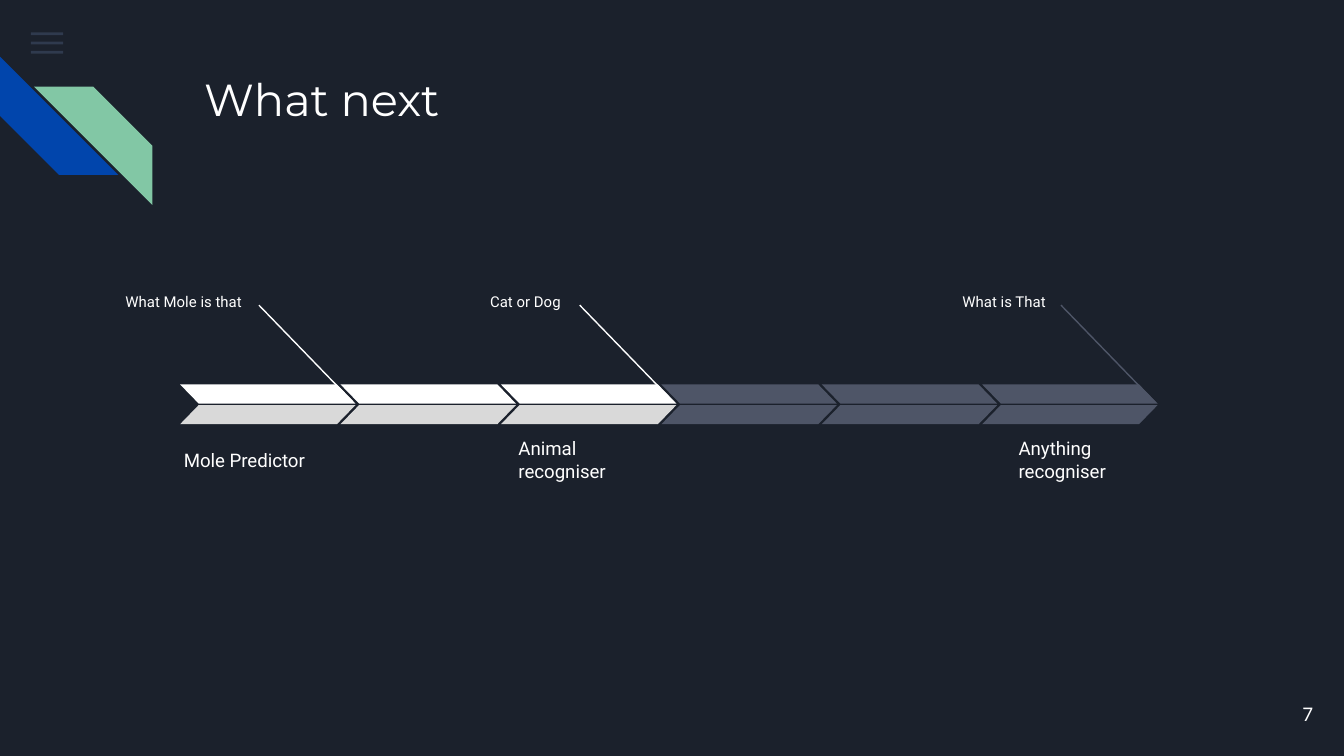
from lxml.etree import SubElement
from pptx import Presentation
from pptx.dml.color import RGBColor
from pptx.enum.shapes import MSO_CONNECTOR, MSO_SHAPE
from pptx.enum.text import MSO_ANCHOR, MSO_AUTO_SIZE, PP_ALIGN
from pptx.oxml.ns import qn
from pptx.util import Pt

NIGHT = RGBColor(0x1B, 0x21, 0x2C)
STEEL = RGBColor(0x55, 0x68, 0x8B)
BLUE = RGBColor(0x01, 0x45, 0xAC)
GREEN = RGBColor(0x82, 0xC7, 0xA5)
WHITE = RGBColor(0xFF, 0xFF, 0xFF)
SILVER = RGBColor(0xD9, 0xD9, 0xD9)
SLATE = RGBColor(0x4E, 0x55, 0x67)

STEPS = 6
DONE = 3
MARKS = {0: WHITE, 2: WHITE, 5: SLATE}
NOTES = [
    ("What Mole is that", 43.2, 93.6, PP_ALIGN.RIGHT),
    ("Cat or Dog", 252, 59, PP_ALIGN.CENTER),
    ("What is That", 503.3, 64.1, PP_ALIGN.RIGHT),
]
STAGES = [
    ("Mole Predictor", 91.4, 92.2),
    ("Animal recogniser", 270.7, 89.3),
    ("Anything recogniser", 538.6, 89.3),
]


def put_text(shape, text, font="Roboto", size=10, align=PP_ALIGN.LEFT,
             anchor=MSO_ANCHOR.TOP):
    frame = shape.text_frame
    frame.word_wrap = True
    frame.auto_size = MSO_AUTO_SIZE.NONE
    frame.vertical_anchor = anchor
    frame.margin_left = frame.margin_right = Pt(7.2)
    frame.margin_top = frame.margin_bottom = Pt(7.2)
    frame.text = text
    line = frame.paragraphs[0]
    line.alignment = align
    style = line.runs[0].font
    style.name, style.size, style.color.rgb = font, Pt(size), WHITE


def add_text(slide, box, text, **form):
    put_text(slide.shapes.add_textbox(*map(Pt, box)), text, **form)


def add_shape(slide, kind, box, color, adjust=None, flip=False, turn=0):
    shape = slide.shapes.add_shape(kind, *map(Pt, box))
    shape.shadow.inherit = False
    shape.fill.solid()
    shape.fill.fore_color.rgb = color
    shape.line.fill.background()
    shape.rotation = turn
    if adjust is not None:
        shape.adjustments[0] = adjust
    if flip:
        shape._element.spPr.find(qn("a:xfrm")).set("flipH", "1")
    return shape


def add_line(slide, start, end, color):
    line = slide.shapes.add_connector(
        MSO_CONNECTOR.STRAIGHT, *map(Pt, start + end))
    line.line.color.rgb = color
    line.line.width = Pt(0.75)
    SubElement(line._element.spPr, qn("a:effectLst"))


def add_menu(slide, box):
    left, top, width, height = box
    thick = 1.5
    gap = (height - thick) / 2
    for row in range(3):
        bar = add_shape(slide, MSO_SHAPE.RECTANGLE,
                        (left, top + row * gap, width, thick), STEEL)
        tint = bar._element.spPr.find(qn("a:solidFill"))[0]
        SubElement(tint, qn("a:alpha"), val="36000")


def add_stripes(slide, box):
    left, top, width, height = box
    side = 63.4
    add_shape(slide, MSO_SHAPE.DIAGONAL_STRIPE, (left, top, side, side),
              BLUE, adjust=0.5, turn=270)
    add_shape(slide, MSO_SHAPE.DIAGONAL_STRIPE,
              (left + width - side, top + height - side, side, side),
              GREEN, adjust=0.5, flip=True)


def add_title(slide, box):
    title = slide.shapes.title
    title.left, title.top, title.width, title.height = map(Pt, box)
    put_text(title, "What next", font="Montserrat", size=24)


def add_arrows(slide, box):
    left, top, width, height = box
    wide, half = 94, 10.3
    step = (width - wide) / (STEPS - 1)
    for i in range(STEPS):
        x = left + i * step
        if i in MARKS:
            add_line(slide, (x + 42.2, top - 42.4), (x + 92.6, top + 9.6),
                     MARKS[i])
        upper, lower = (WHITE, SILVER) if i < DONE else (SLATE, SLATE)
        add_shape(slide, MSO_SHAPE.PARALLELOGRAM, (x, top, wide, half),
                  upper, adjust=0.97, flip=True)
        add_shape(slide, MSO_SHAPE.PARALLELOGRAM,
                  (x, top + height - half, wide, half), lower, adjust=0.97)


def add_labels(slide, box):
    left, top, width, height = box
    for text, x, wide, align in NOTES:
        add_text(slide, (left + x, top, wide, 16.6), text, size=8,
                 align=align)
    for text, x, wide in STAGES:
        add_text(slide, (left + x, top + height - 31.7, wide, 31.7), text,
                 anchor=MSO_ANCHOR.MIDDLE)


def add_number(slide, box):
    add_text(slide, box, "7", font="Lato", align=PP_ALIGN.RIGHT,
             anchor=MSO_ANCHOR.MIDDLE)


def main():
    deck = Presentation()
    deck.slide_width, deck.slide_height = Pt(720), Pt(405)
    slide = deck.slides.add_slide(deck.slide_layouts[5])
    slide.background.fill.solid()
    slide.background.fill.fore_color.rgb = NIGHT
    add_menu(slide, (16.6, 17.3, 17.3, 11.5))
    add_stripes(slide, (0, 30.3, 81.6, 79.5))
    add_title(slide, (102.2, 31, 554.4, 72))
    add_arrows(slide, (96.5, 205.9, 523.7, 21.4))
    add_labels(slide, (0, 149.8, 720, 112.3))
    add_number(slide, (667.4, 367.2, 43.2, 31))
    deck.save("out.pptx")


if __name__ == "__main__":
    main()
